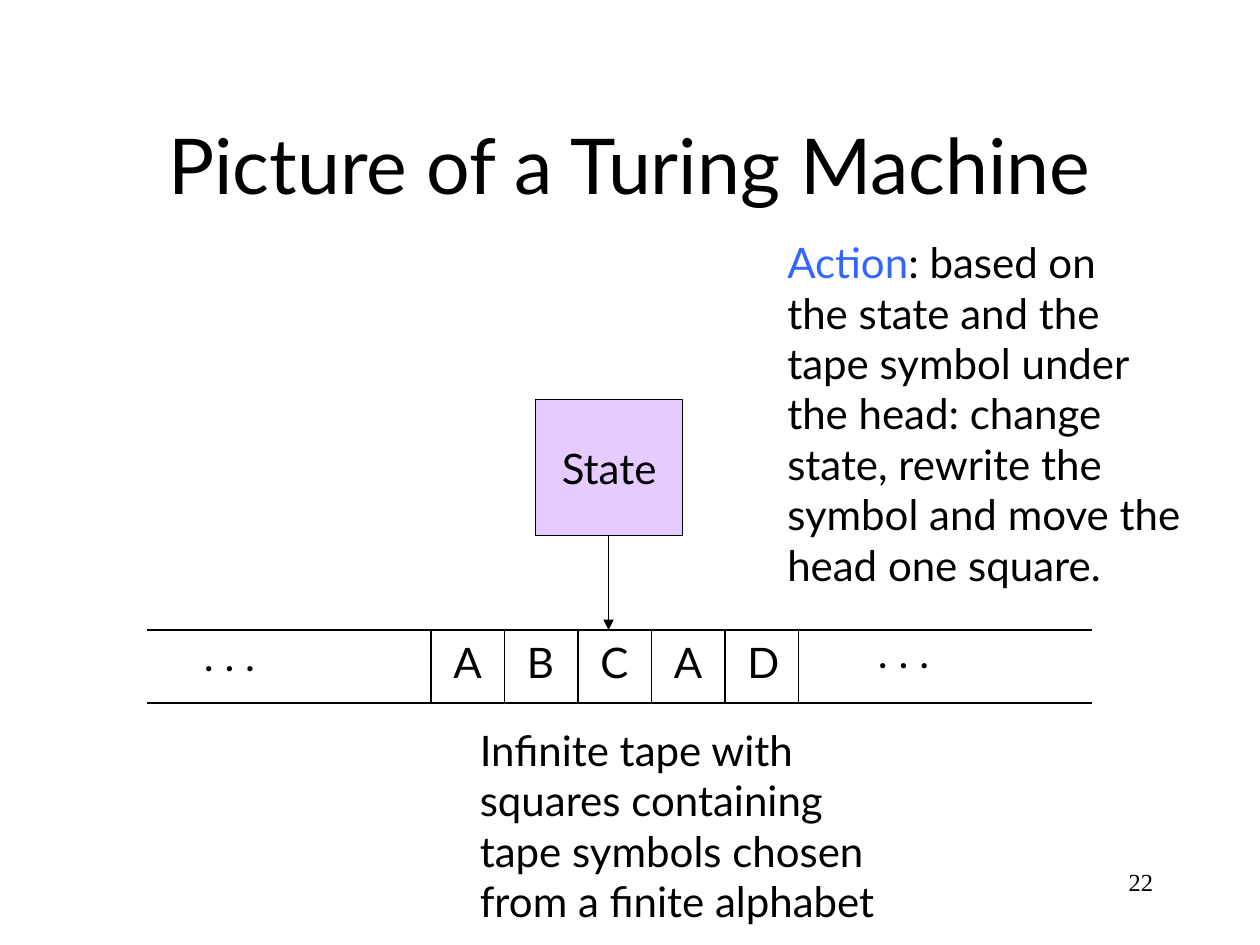
"""Build a slide that shows a Turing machine with its tape and head."""
import dataclasses

import pptx
import pptx.dml.color
import pptx.enum.shapes
import pptx.enum.text
import pptx.oxml.ns
import pptx.oxml.xmlchemy
import pptx.slide
import pptx.util

Inches = pptx.util.Inches
Align = pptx.enum.text.PP_ALIGN
Anchor = pptx.enum.text.MSO_ANCHOR
Fit = pptx.enum.text.MSO_AUTO_SIZE
BLACK = "000000"
BLUE = "3366FF"
LILAC = "CC99FF"
LEFT, RIGHT = 1.17, 8.67
TOP, BASE = 5, 5.58
START, CELL = 3.42, 7 / 12
HEAD = 4.83


@dataclasses.dataclass
class Label:
    text: str
    x: float
    y: float
    w: float
    h: float
    size: float = 24
    font: str = "Lato"
    align: Align = Align.LEFT
    anchor: Anchor = Anchor.TOP
    wrap: bool = False


@dataclasses.dataclass
class Line:
    x1: float
    y1: float
    x2: float
    y2: float
    arrow: bool = False


def color(code: str) -> pptx.dml.color.RGBColor:
    return pptx.dml.color.RGBColor.from_string(code)


def add_tag(parent, tag: str, **attrs: str):
    node = parent.makeelement(pptx.oxml.ns.qn(tag), attrs)
    parent.append(node)
    return node


def style(frame, label: Label) -> None:
    frame.text = label.text
    frame.word_wrap = label.wrap
    frame.vertical_anchor = label.anchor
    for para in frame.paragraphs:
        para.alignment = label.align
        for run in para.runs:
            run.font.size = pptx.util.Pt(label.size)
            run.font.name = label.font
            run.font.color.rgb = color(BLACK)


def add_label(slide: pptx.slide.Slide, label: Label):
    box = slide.shapes.add_textbox(
        Inches(label.x), Inches(label.y), Inches(label.w), Inches(label.h))
    style(box.text_frame, label)
    if not label.wrap:
        box.text_frame.auto_size = Fit.SHAPE_TO_FIT_TEXT
    return box.text_frame


def add_line(slide: pptx.slide.Slide, line: Line) -> None:
    link = slide.shapes.add_connector(
        pptx.enum.shapes.MSO_CONNECTOR.STRAIGHT,
        Inches(line.x1), Inches(line.y1), Inches(line.x2), Inches(line.y2))
    link.line.color.rgb = color(BLACK)
    link.line.width = pptx.util.Pt(0.75)
    if line.arrow:
        add_tag(link.line._get_or_add_ln(), "a:tailEnd", type="triangle")
    add_tag(link._element.spPr, "a:effectLst")


def add_state(slide: pptx.slide.Slide, label: Label) -> None:
    box = slide.shapes.add_shape(
        pptx.enum.shapes.MSO_SHAPE.RECTANGLE,
        Inches(label.x), Inches(label.y), Inches(label.w), Inches(label.h))
    box.shadow.inherit = False
    box.fill.solid()
    box.fill.fore_color.rgb = color(LILAC)
    tint = box._element.spPr.find(".//" + pptx.oxml.ns.qn("a:srgbClr"))
    add_tag(tint, "a:alpha", val="50000")
    box.line.color.rgb = color(BLACK)
    box.line.width = pptx.util.Pt(0.75)
    style(box.text_frame, label)


def add_lead(frame, word: str) -> None:
    para = frame.paragraphs[0]
    first = para.runs[0]
    rest = para.add_run()
    rest.text = first.text.removeprefix(word)
    rest.font.size = first.font.size
    rest.font.name = first.font.name
    rest.font.color.rgb = color(BLACK)
    first.text = word
    first.font.color.rgb = color(BLUE)


def main() -> None:
    deck = pptx.Presentation()
    deck.slide_width, deck.slide_height = Inches(10), Inches(7.5)
    slide = deck.slides.add_slide(deck.slide_layouts[6])

    add_label(slide, Label("22", 7.17, 6.83, 2.08, 0.5, 14,
                           "Times New Roman", Align.RIGHT, wrap=True))
    add_label(slide, Label("Picture of a Turing Machine", 0.75, 0.67, 8.5, 1.25,
                           44, align=Align.CENTER, anchor=Anchor.MIDDLE, wrap=True))
    add_state(slide, Label("State", 4.25, 3.17, 1.17, 1.08,
                           align=Align.CENTER, anchor=Anchor.MIDDLE))

    symbols = "ABCAD"
    lines = [Line(LEFT, y, RIGHT, y) for y in (TOP, BASE)]
    for i in range(len(symbols) + 1):
        x = START + i * CELL
        lines.append(Line(x, TOP, x, BASE))
    lines.append(Line(HEAD, 4.25, HEAD, TOP, True))
    for line in lines:
        add_line(slide, line)

    for x, y in ((1.52, 4.95), (6.87, 4.92)):
        add_label(slide, Label(". . .", x, y, 0.64, 0.5))
    for i, symbol in enumerate(symbols):
        add_label(slide, Label(symbol, START + 0.08 + i * CELL, TOP, 0.41, 0.5))

    add_label(slide, Label(
        "Infinite tape with\nsquares containing\ntape symbols chosen\n"
        "from a finite alphabet", 3.71, 5.7, 3.6, 1.7))
    action = add_label(slide, Label(
        "Action: based on\nthe state and the\ntape symbol under\n"
        "the head: change\nstate, rewrite the\nsymbol and move the\n"
        "head one square.", 6.15, 1.83, 3.57, 2.9))
    add_lead(action, "Action")
    deck.save("out.pptx")


if __name__ == "__main__":
    main()
